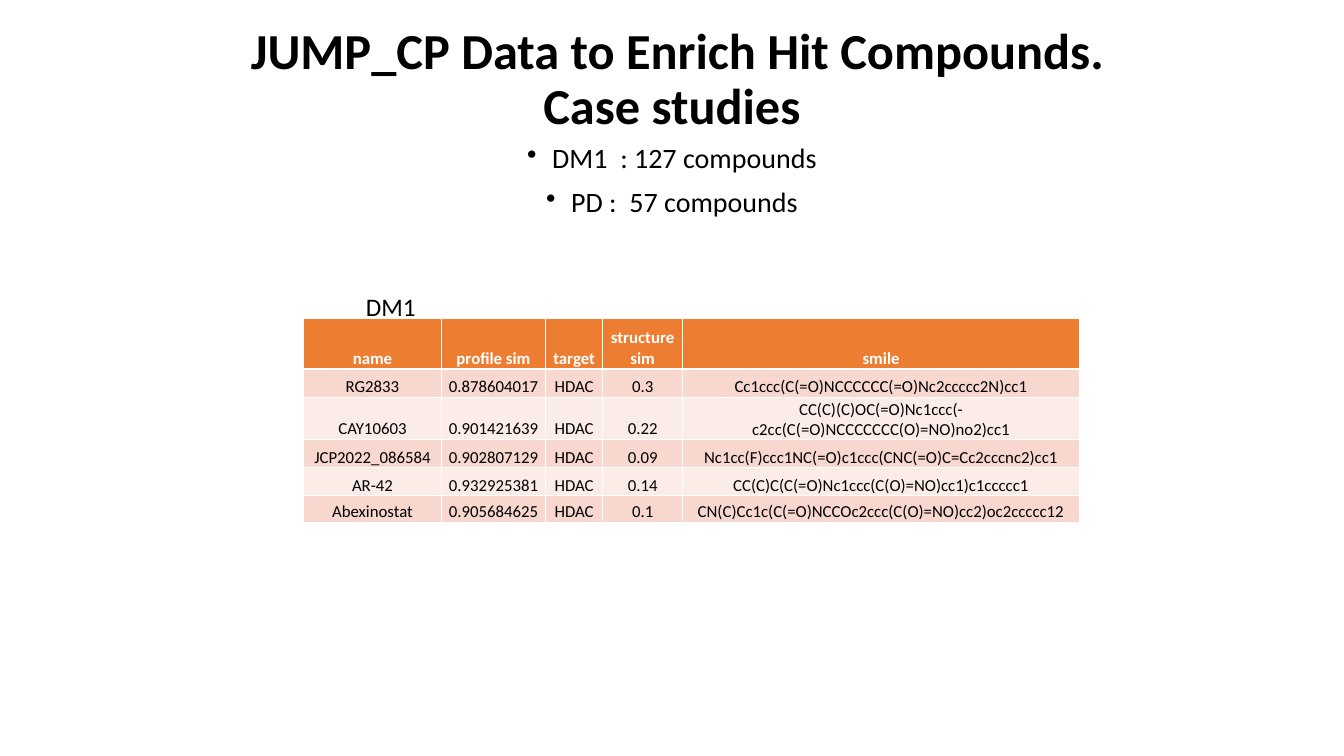
from lxml import etree
from pptx import Presentation
from pptx.dml.color import RGBColor
from pptx.enum.text import MSO_ANCHOR as ANCHOR, PP_ALIGN as ALIGN
from pptx.oxml.ns import qn
from pptx.util import Inches, Pt

COLORS = {
    "text": "000000",
    "header_text": "FFFFFF",
    "header": "ED7D31",
    "band_dark": "F8D7CE",
    "band_light": "FCECE8",
}
FONT = "Calibri"
HEADERS = ["name", "profile sim", "target", "structure sim", "smile"]
COMPOUNDS = [
    ["RG2833", "0.878604017", "HDAC", "0.3",
     "Cc1ccc(C(=O)NCCCCCC(=O)Nc2ccccc2N)cc1"],
    ["CAY10603", "0.901421639", "HDAC", "0.22",
     "CC(C)(C)OC(=O)Nc1ccc(-c2cc(C(=O)NCCCCCCC(O)=NO)no2)cc1"],
    ["JCP2022_086584", "0.902807129", "HDAC", "0.09",
     "Nc1cc(F)ccc1NC(=O)c1ccc(CNC(=O)C=Cc2cccnc2)cc1"],
    ["AR-42", "0.932925381", "HDAC", "0.14",
     "CC(C)C(C(=O)Nc1ccc(C(O)=NO)cc1)c1ccccc1"],
    ["Abexinostat", "0.905684625", "HDAC", "0.1",
     "CN(C)Cc1c(C(=O)NCCOc2ccc(C(O)=NO)cc2)oc2ccccc12"],
]
COL_WIDTHS = [1.37, 1.03, 0.57, 0.79, 3.94]
ROW_HEIGHTS = [0.5, 0.28, 0.23, 0.28, 0.28, 0.26]


def rgb(name):
    return RGBColor.from_string(COLORS[name])


def format_paragraph(p, size, color="text", bold=False, align=ALIGN.CENTER):
    p.alignment = align
    font = p.font
    font.name, font.size, font.bold = FONT, Pt(size), bold
    font.color.rgb = rgb(color)


def add_bullet(p):
    pPr = p._p.get_or_add_pPr()
    pPr.set("marL", str(Inches(0.25)))
    pPr.set("indent", str(-Inches(0.25)))
    bullet = etree.Element(qn("a:buChar"), char="•")
    pPr.find(qn("a:defRPr")).addprevious(bullet)


def set_title(slide, text):
    title = slide.shapes.title
    title.left, title.top = Inches(1.1), Inches(0.19)
    title.width, title.height = Inches(11.13), Inches(1.22)
    tf = title.text_frame
    tf.text = text
    tf.vertical_anchor = ANCHOR.MIDDLE
    p = tf.paragraphs[0]
    p.line_spacing = 0.9
    format_paragraph(p, 36, bold=True)


def add_text_box(slide, left, top, width, height):
    box = slide.shapes.add_textbox(
        Inches(left), Inches(top), Inches(width), Inches(height))
    box.text_frame.word_wrap = True
    return box.text_frame


def add_bullets(slide, lines):
    tf = add_text_box(slide, 1.1, 1.6, 11.13, 0.84)
    tf.vertical_anchor = ANCHOR.MIDDLE
    tf.margin_bottom = Inches(0.49)
    tf.text = "\n".join(lines)
    for p in tf.paragraphs:
        p.line_spacing = 0.9
        p.space_before = Pt(10)
        format_paragraph(p, 20)
        add_bullet(p)


def add_label(slide, text):
    tf = add_text_box(slide, 3.53, 2.84, 6.67, 0.4)
    tf.text = text
    format_paragraph(tf.paragraphs[0], 18, align=ALIGN.LEFT)


def fill_cell(cell, text, fill, color, bold):
    cell.text = text
    cell.vertical_anchor = ANCHOR.BOTTOM
    cell.margin_left = cell.margin_right = cell.margin_top = Inches(0.02)
    cell.margin_bottom = 0
    cell.fill.solid()
    cell.fill.fore_color.rgb = rgb(fill)
    format_paragraph(cell.text_frame.paragraphs[0], 12, color, bold)


def add_compound_table(slide):
    rows = [HEADERS] + COMPOUNDS
    table = slide.shapes.add_table(
        len(rows), len(HEADERS), Inches(3.01), Inches(3.16),
        Inches(sum(COL_WIDTHS)), Inches(sum(ROW_HEIGHTS))).table
    for column, width in zip(table.columns, COL_WIDTHS):
        column.width = Inches(width)
    for i, (values, height) in enumerate(zip(rows, ROW_HEIGHTS)):
        table.rows[i].height = Inches(height)
        if i == 0:
            style = ("header", "header_text", True)
        else:
            style = ("band_dark" if i % 2 else "band_light", "text", False)
        for j, value in enumerate(values):
            fill_cell(table.cell(i, j), value, *style)


def main():
    prs = Presentation()
    prs.slide_width, prs.slide_height = Inches(13.33), Inches(7.5)
    slide = prs.slides.add_slide(prs.slide_layouts[5])
    set_title(slide, " JUMP_CP Data to Enrich Hit Compounds.\vCase studies")
    add_bullets(slide, ["DM1  : 127 compounds", "PD :  57 compounds"])
    add_compound_table(slide)
    add_label(slide, "DM1")
    prs.save("out.pptx")


main()
